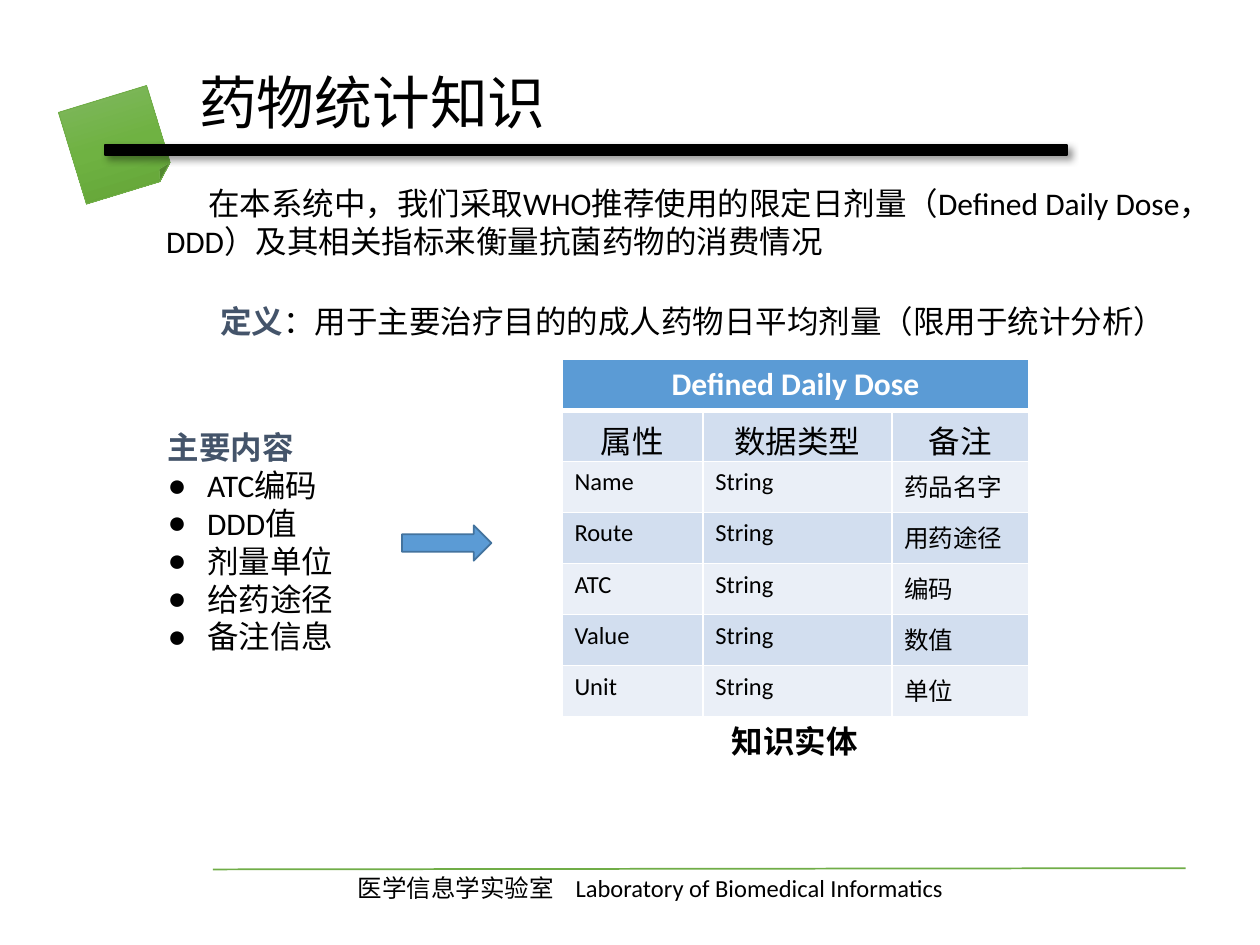
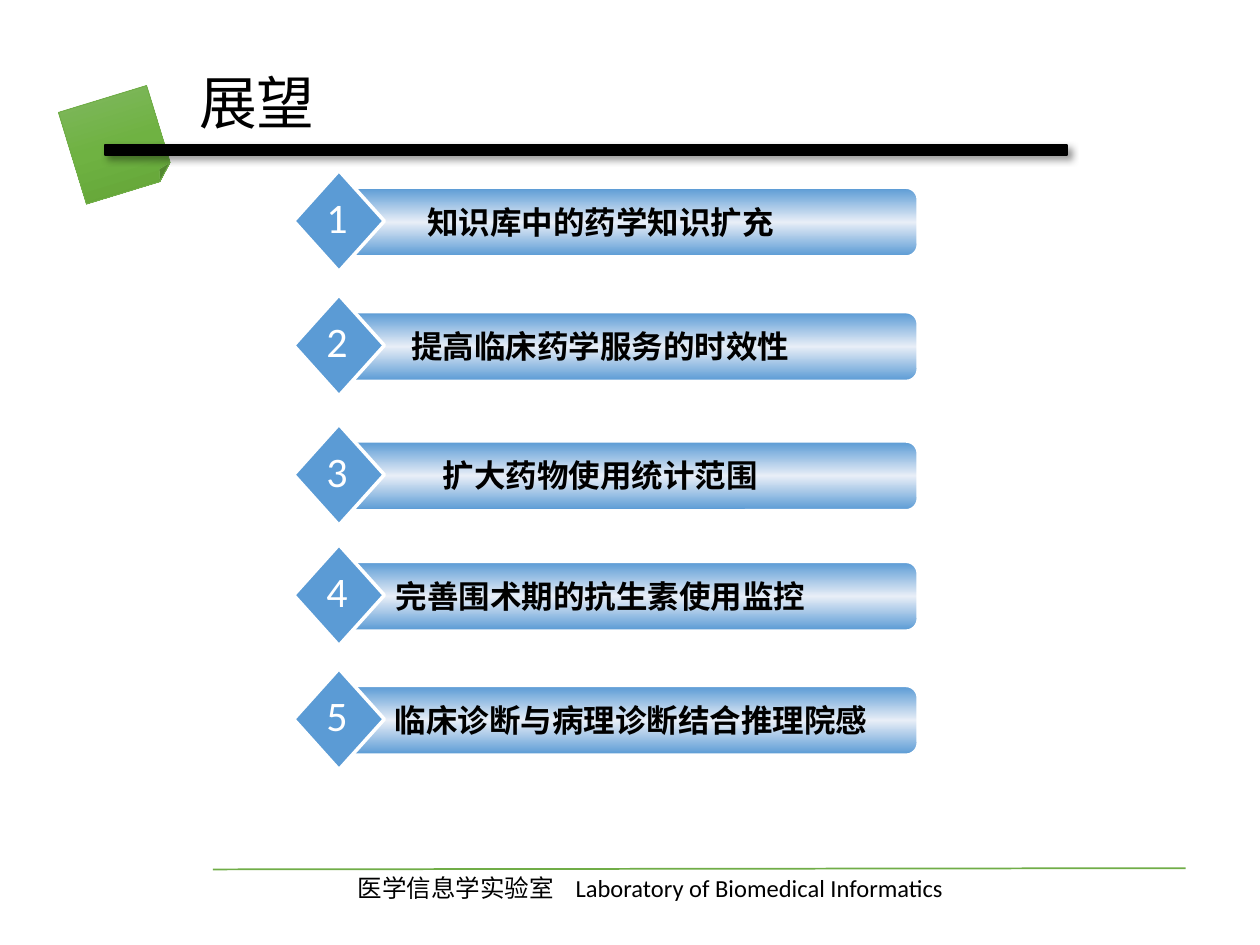
from copy import deepcopy
from dataclasses import dataclass

from lxml.etree import SubElement
from pptx import Presentation
from pptx.dml.color import RGBColor
from pptx.enum.shapes import MSO_CONNECTOR, MSO_SHAPE
from pptx.enum.text import MSO_ANCHOR, MSO_AUTO_SIZE, PP_ALIGN
from pptx.oxml.ns import qn
from pptx.util import Pt


@dataclass(frozen=True)
class Theme:
    font: str = "Calibri"
    black: str = "000000"
    white: str = "FFFFFF"
    slate: str = "44546A"
    blue: str = "5B9BD5"
    dark_blue: str = "43739E"
    green: str = "70AD47"
    row_dark: str = "D2DEEF"
    row_light: str = "EAEFF7"
    green_fade: tuple = ("81B861", "6FB242", "62A336")
    blue_fade: tuple = ("5B9BD5", "E8EEF7", "5B9BD5")
    title_size: int = 33
    number_size: int = 24
    body_size: int = 18
    small_size: int = 14


THEME = Theme()
TITLE_ONLY, TITLE_AND_CONTENT = 5, 1


def rgb(code):
    return RGBColor.from_string(code)


def apply(target, values):
    for name, value in values.items():
        setattr(target, name, value)


def place(shape, area):
    names = ("left", "top", "width", "height")
    apply(shape, {name: Pt(value) for name, value in zip(names, area)})


class SlideBuilder:
    def __init__(self, deck, theme):
        self.deck, self.theme = deck, theme
        self.page = None

    def start(self, layout, title):
        """Add a slide with its title, corner note, rule and footer."""
        theme = self.theme
        self.page = self.deck.slides.add_slide(self.deck.slide_layouts[layout])
        note = self.shape(MSO_SHAPE.FOLDED_CORNER, (40.3, 55.4, 52.6, 54.7),
                          theme.green_fade, theme.green, 0.5)
        note.rotation = 343
        rule = self.shape(MSO_SHAPE.RECTANGLE, (59.8, 82.8, 550, 5.8),
                          theme.black, theme.black, 1)
        self.cast_shadow(rule)
        self.line((121.7, 496.8), (677.5, 496.1), theme.green)
        footer = self.text((197.3, 495.4, 458, 24.5), [])
        para = self.paragraph(footer, "医学信息学实验室\tLaboratory of Biomedical Informatics",
                              size=theme.small_size)
        tabs = SubElement(para._p.get_or_add_pPr(), qn("a:tabLst"))
        SubElement(tabs, qn("a:tab"), pos=str(Pt(124.5)), algn="l")

        heading = self.page.shapes.title
        place(heading, (106.6, 3.6, 632.9, 113.8))
        heading.text_frame.vertical_anchor = MSO_ANCHOR.MIDDLE
        para = self.paragraph(heading, title, size=theme.title_size)
        apply(para, {"alignment": PP_ALIGN.LEFT, "line_spacing": 0.9})

    def shape(self, kind, area, fill, line, line_width):
        """Add a preset shape; a tuple as fill makes a top-to-bottom gradient."""
        shape = self.page.shapes.add_shape(kind, *map(Pt, area))
        shape.shadow.inherit = False
        if isinstance(fill, tuple):
            self.fade(shape, fill)
        else:
            shape.fill.solid()
            shape.fill.fore_color.rgb = rgb(fill)
        shape.line.color.rgb = rgb(line)
        shape.line.width = Pt(line_width)
        return shape

    def fade(self, shape, colors):
        shape.fill.gradient()
        shape.fill.gradient_angle = 270
        stops = shape._element.spPr.find(".//" + qn("a:gsLst"))
        stops.insert(1, deepcopy(stops[0]))
        for index, stop in enumerate(shape.fill.gradient_stops):
            stop.color.rgb = rgb(colors[index])
            stop.position = index / 2

    def cast_shadow(self, shape):
        effects = shape._element.spPr.find(qn("a:effectLst"))
        shadow = SubElement(effects, qn("a:outerShdw"), blurRad=str(Pt(4)),
                            dist=str(Pt(3)), dir="2700000", algn="tl", rotWithShape="0")
        color = SubElement(shadow, qn("a:srgbClr"), val=self.theme.black)
        SubElement(color, qn("a:alpha"), val="40000")

    def line(self, start, end, color):
        line = self.page.shapes.add_connector(
            MSO_CONNECTOR.STRAIGHT, *map(Pt, start + end))
        line.line.color.rgb = rgb(color)
        line.line.width = Pt(1)
        SubElement(line._element.spPr, qn("a:effectLst"))

    def paragraph(self, holder, *spans, align=None, **style):
        """Write spans, each a text or a (text, style) pair, as the next paragraph."""
        frame = holder.text_frame
        first = frame.paragraphs[0]
        para = frame.add_paragraph() if first.runs else first
        if align is not None:
            para.alignment = align
        for item in spans:
            text, extra = item if isinstance(item, tuple) else (item, {})
            span = para.add_run()
            span.text = text
            look = {"size": self.theme.body_size, "color": self.theme.black,
                    "bold": False, **style, **extra}
            span.font.color.rgb = rgb(look.pop("color"))
            apply(span.font, {**look, "name": self.theme.font, "size": Pt(look["size"])})
        return para

    def text(self, area, spans, wrap=True, align=None, **style):
        box = self.page.shapes.add_textbox(*map(Pt, area))
        apply(box.text_frame, {"word_wrap": wrap,
                               "auto_size": MSO_AUTO_SIZE.SHAPE_TO_FIT_TEXT})
        if spans:
            self.paragraph(box, *spans, align=align, **style)
        return box

    def bullet_list(self, area, heading, items):
        body = self.page.placeholders[1]
        place(body, area)
        body.text_frame.auto_size = MSO_AUTO_SIZE.SHAPE_TO_FIT_TEXT
        for index, text in enumerate([heading, *items]):
            style = {} if index else {"bold": True, "color": self.theme.slate}
            para = self.paragraph(body, text, **style)
            para.space_before = Pt(0)
            properties = para._p.get_or_add_pPr()
            indent = Pt(22.5) if index else 0
            properties.set("marL", str(indent))
            properties.set("indent", str(-indent))
            if index:
                SubElement(properties, qn("a:buChar"), char="●")
            else:
                SubElement(properties, qn("a:buNone"))

    def cell(self, cell, text, fill, bottom=1, **style):
        properties = cell._tc.get_or_add_tcPr()
        for side, width in (("L", 1), ("R", 1), ("T", 1), ("B", bottom)):
            border = SubElement(properties, qn("a:ln" + side), w=str(Pt(width)))
            paint = SubElement(border, qn("a:solidFill"))
            SubElement(paint, qn("a:srgbClr"), val=self.theme.white)
        cell.fill.solid()
        cell.fill.fore_color.rgb = rgb(fill)
        if text:
            self.paragraph(cell, text, **style)

    def table(self, area, widths, title, rows):
        theme = self.theme
        frame = self.page.shapes.add_table(len(rows) + 1, len(widths), *map(Pt, area))
        table = frame.table
        for column, width in zip(table.columns, widths):
            column.width = Pt(width)
        for row in table.rows:
            row.height = Pt(area[3] / len(table.rows))
        table.cell(0, 0).merge(table.cell(0, len(widths) - 1))
        for column in range(len(widths)):
            self.cell(table.cell(0, column), "" if column else title, theme.blue,
                      bottom=3, align=PP_ALIGN.CENTER, bold=True, color=theme.white)
        for number, values in enumerate(rows, 1):
            fill = theme.row_dark if number % 2 else theme.row_light
            style = ({"align": PP_ALIGN.CENTER} if number == 1
                     else {"size": theme.small_size})
            for column, value in enumerate(values):
                self.cell(table.cell(number, column), value, fill, **style)

    def outlook_bar(self, number, top, label, label_width):
        theme = self.theme
        bar = self.shape(MSO_SHAPE.ROUNDED_RECTANGLE, (196.6, top, 327.6, 38.9),
                         theme.blue_fade, theme.white, 1)
        bar.adjustments[0] = 0.167
        self.shape(MSO_SHAPE.DIAMOND, (167.8, top - 10, 51.8, 57.6),
                   theme.blue, theme.white, 2)
        self.text((213.8, top + 4.8, label_width, 28.8), [label],
                  align=PP_ALIGN.CENTER, bold=True)
        self.text((179.3, top - 1.6, 26.6, 36), [str(number)], wrap=False,
                  align=PP_ALIGN.CENTER, size=theme.number_size, color=theme.white)


def build_statistics(slide):
    theme = slide.theme
    slide.start(TITLE_AND_CONTENT, "药物统计知识")
    intro = slide.text((87.8, 101.5, 617.8, 51), [
        "在本系统中，我们采取WHO推荐使用的限定日剂量（Defined Daily Dose，DDD）"
        "及其相关指标来衡量抗菌药物的消费情况"])
    intro.text_frame.paragraphs[0]._p.get_or_add_pPr().set("indent", str(Pt(24)))
    slide.text((118.8, 169.2, 560.2, 51), [
        ("定义", {"bold": True, "color": theme.slate}),
        "：用于主要治疗目的的成人药物日平均剂量（限用于统计分析）"], wrap=False)
    slide.bullet_list((88.6, 241.2, 141, 138.2), "主要内容",
                      ["ATC编码", "DDD值", "剂量单位", "给药途径", "备注信息"])
    slide.text((411.1, 409, 87.1, 28.8), ["知识实体"], wrap=False, bold=True)
    slide.shape(MSO_SHAPE.RIGHT_ARROW, (229.7, 300.2, 51.1, 20.2),
                theme.blue, theme.dark_blue, 1)
    slide.table((321.1, 205.2, 267, 204.4), (80.5, 108, 78.5), "Defined Daily Dose", [
        ("属性", "数据类型", "备注"),
        ("Name", "String", "药品名字"),
        ("Route", "String", "用药途径"),
        ("ATC", "String", "编码"),
        ("Value", "String", "数值"),
        ("Unit", "String", "单位"),
    ])


def build_outlook(slide):
    slide.start(TITLE_ONLY, "展望")
    bars = [
        (107.5, "知识库中的药学知识扩充", 258.5),
        (178.6, "提高临床药学服务的时效性", 258.5),
        (252.5, "扩大药物使用统计范围", 258.5),
        (321.3, "完善围术期的抗生素使用监控", 258.5),
        (392.2, "临床诊断与病理诊断结合推理院感", 293.8),
    ]
    for number, (top, label, width) in enumerate(bars, 1):
        slide.outlook_bar(number, top, label, width)


def main():
    deck = Presentation()
    deck.slide_width, deck.slide_height = Pt(720), Pt(540)
    slide = SlideBuilder(deck, THEME)
    build_statistics(slide)
    build_outlook(slide)
    deck.save("out.pptx")


if __name__ == "__main__":
    main()
